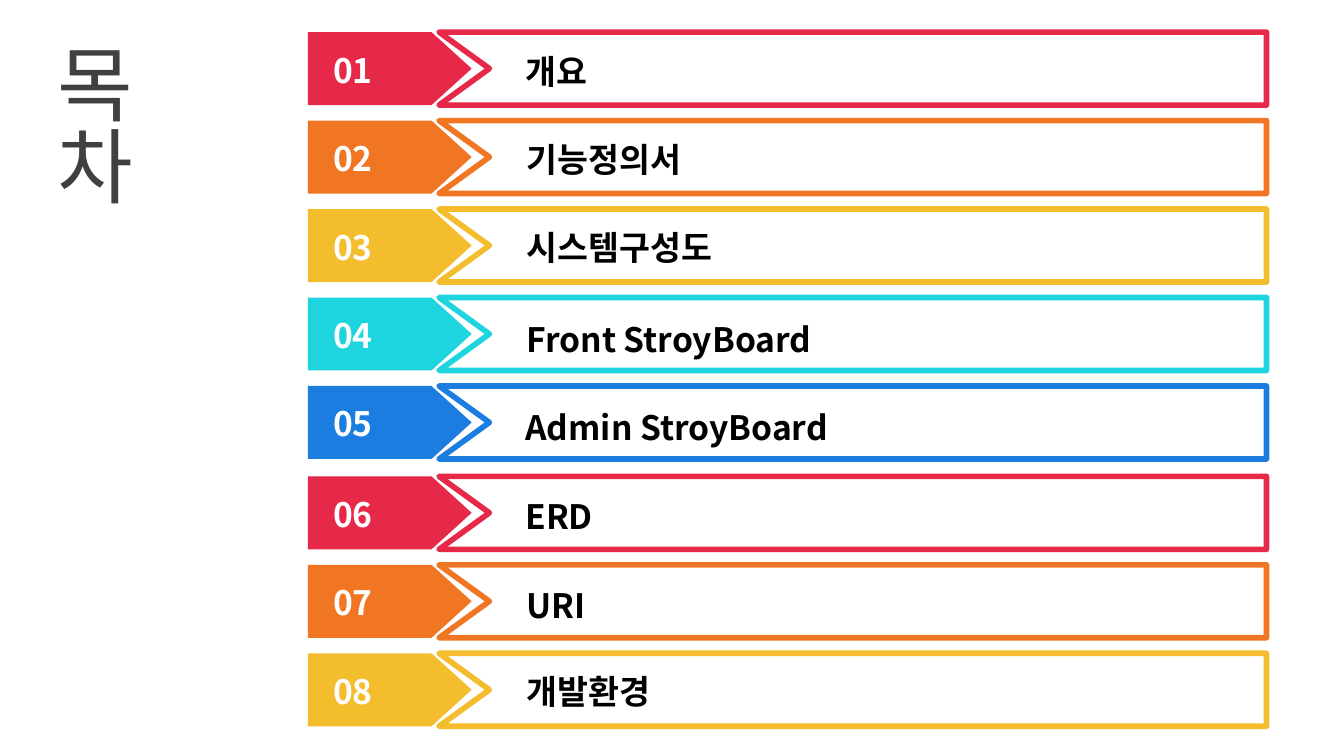
from pptx import Presentation
from pptx.dml.color import RGBColor
from pptx.enum.shapes import MSO_SHAPE
from pptx.enum.text import MSO_ANCHOR, MSO_AUTO_SIZE, PP_ALIGN
from pptx.oxml.ns import qn
from pptx.util import Pt
from lxml.etree import SubElement

FONT = "Noto Sans CJK JP"
RED = RGBColor(0xE6, 0x29, 0x49)
ORANGE = RGBColor(0xF0, 0x76, 0x24)
YELLOW = RGBColor(0xF4, 0xBD, 0x2D)
CYAN = RGBColor(0x1E, 0xD4, 0xDE)
BLUE = RGBColor(0x1C, 0x7D, 0xE1)
WHITE = RGBColor(0xFF, 0xFF, 0xFF)
BLACK = RGBColor(0, 0, 0)
GRAY = RGBColor(0x40, 0x40, 0x40)
COLORS = [RED, ORANGE, YELLOW, CYAN, BLUE]

# Each chapter: heading, left edge and drop of its text box within the row
CHAPTERS = [
    ("개요", 274.4, 6.5),
    ("기능정의서", 275, 6.5),
    ("시스템구성도", 275, 6.2),
    ("Front StroyBoard", 275, 7.9),
    ("Admin StroyBoard", 274.4, 7.4),
    ("ERD", 274.4, 7),
    ("URI", 275, 7),
    ("개발환경", 275, 5.8),
]
FIRST_TOP = 17.2
PITCH = 47.4
ROW_HEIGHT = 39.1
FRAME_LEFT, FRAME_RIGHT, NOTCH = 235.2, 678.5, 262.2


def add_run(para, text, size, color, bold):
    span = para.add_run()
    span.text = text
    span.font.size = Pt(size)
    span.font.bold = bold
    span.font.color.rgb = color
    span.font.name = FONT
    SubElement(span.font._element, qn("a:ea")).set("typeface", FONT)


def add_label(group, left, top, width, height, text, color):
    box = group.shapes.add_textbox(Pt(left), Pt(top), Pt(width), Pt(height))
    frame = box.text_frame
    frame.word_wrap = True
    frame.auto_size = MSO_AUTO_SIZE.SHAPE_TO_FIT_TEXT
    add_run(frame.paragraphs[0], text, 18, color, True)
    return frame


deck = Presentation()
deck.slide_width, deck.slide_height = Pt(720), Pt(405)
page = deck.slides.add_slide(deck.slide_layouts[5])

title = page.shapes.title
title.left, title.top, title.width, title.height = Pt(7.2), Pt(19.4), Pt(85), Pt(103.7)
title.text_frame.auto_size = MSO_AUTO_SIZE.NONE
title.text_frame.vertical_anchor = MSO_ANCHOR.MIDDLE
title.text_frame._txBody.bodyPr.set("vert", "eaVert")
title_para = title.text_frame.paragraphs[0]
title_para.alignment = PP_ALIGN.CENTER
add_run(title_para, "목차", 44, GRAY, False)

for index, (heading, text_left, text_drop) in enumerate(CHAPTERS):
    color = COLORS[index % len(COLORS)]
    # The second round of colours sits one point lower
    top = FIRST_TOP + index * PITCH + index // len(COLORS)
    bottom = top + ROW_HEIGHT
    row = page.shapes.add_group_shape()

    tag = row.shapes.add_shape(
        MSO_SHAPE.PENTAGON, Pt(164.9), Pt(top), Pt(87.8), Pt(ROW_HEIGHT))
    tag.adjustments[0] = 0.55
    tag.shadow.inherit = False
    tag.fill.solid()
    tag.fill.fore_color.rgb = color
    tag.line.fill.background()

    outline = row.shapes.build_freeform(Pt(FRAME_LEFT), Pt(top))
    corners = [(FRAME_RIGHT, top), (FRAME_RIGHT, bottom),
               (FRAME_LEFT, bottom), (NOTCH, (top + bottom) / 2)]
    outline.add_line_segments([(Pt(x), Pt(y)) for x, y in corners], close=True)
    frame_shape = outline.convert_to_shape()
    frame_shape.shadow.inherit = False
    frame_shape.fill.solid()
    frame_shape.fill.fore_color.rgb = WHITE
    frame_shape.line.color.rgb = color
    frame_shape.line.width = Pt(3)
    SubElement(frame_shape.line._get_or_add_ln(), qn("a:round"))

    number = add_label(row, 171.4, top + 7.9, 47.5, 24.5, f"{index + 1:02}", WHITE)
    number.vertical_anchor = MSO_ANCHOR.MIDDLE
    number.margin_top = number.margin_bottom = 0

    text_width = 102.2 if heading == "개발환경" else 381.6
    add_label(row, text_left, top + text_drop, text_width, 32.4, heading, BLACK)

deck.save("out.pptx")
